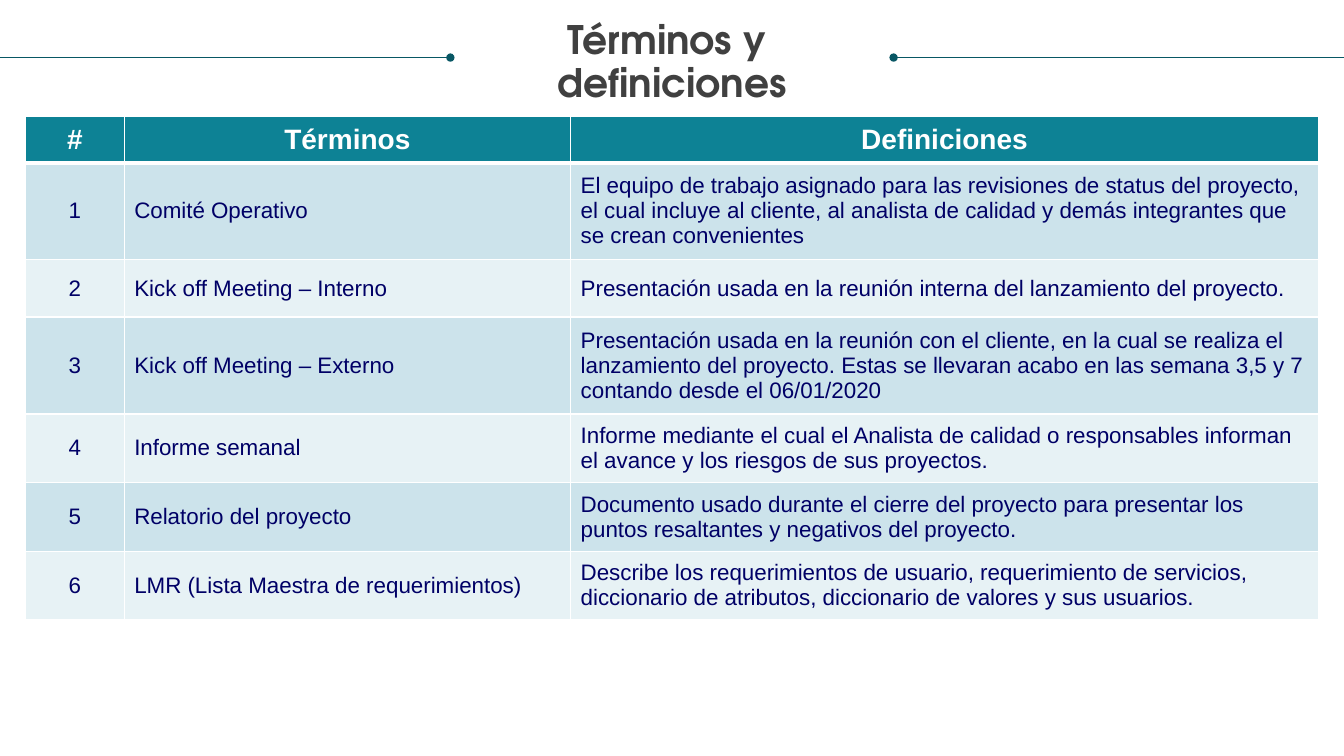
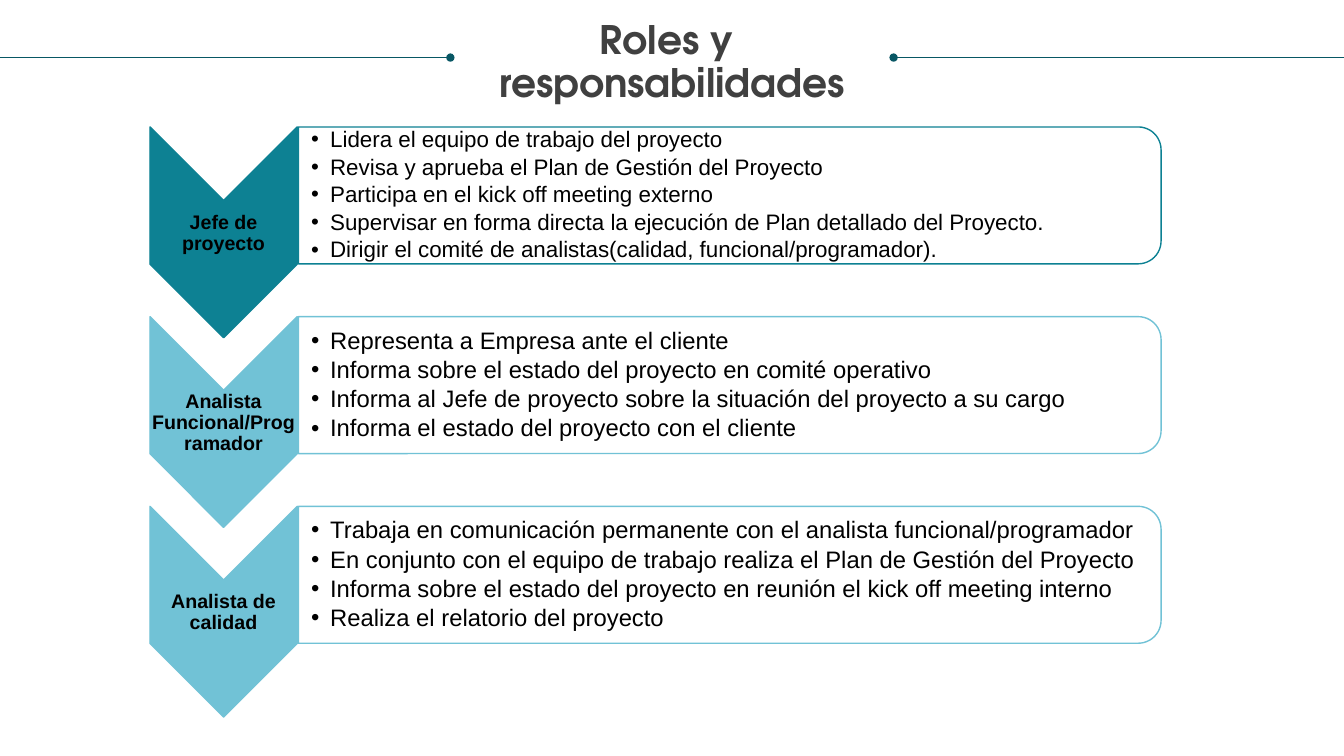
import dataclasses
import typing

import lxml.etree
import pptx
import pptx.dml.color
import pptx.enum.shapes
import pptx.enum.text
import pptx.oxml.ns
import pptx.presentation
import pptx.slide
import pptx.util

Cm = pptx.util.Cm
Pt = pptx.util.Pt
qn = pptx.oxml.ns.qn
Align = pptx.enum.text.PP_ALIGN
Anchor = pptx.enum.text.MSO_ANCHOR
Preset = pptx.enum.shapes.MSO_SHAPE

COLORS = {
    "white": "FFFFFF",
    "black": "000000",
    "title": "404040",
    "rule": "085764",
    "header": "0D8295",
    "band_dark": "CCE3EB",
    "band_light": "E7F2F5",
    "cell_text": "000066",
    "lead": "0D8193",
    "analyst": "71C2D6",
}
TITLE_FONT = "TeX Gyre Adventor"
BODY_FONT = "Arial"
SLIDE_WIDTH, SLIDE_HEIGHT = 33.87, 19.05
MARGIN = 0.64
CONTENT_WIDTH = 32.59
RULE_TOP, RULE_LENGTH = 1.45, 11.35
COMPARISON_LAYOUT, TITLE_ONLY_LAYOUT = 4, 5
ROLE_TOP, ROLE_PITCH = 3.2, 4.78
CHEVRON_LEFT, CHEVRON_WIDTH, CHEVRON_HEIGHT = 3.78, 3.71, 5.31
BOX_WIDTH, BOX_HEIGHT = 21.74, 3.45
COLUMN_WIDTHS = (2.49, 11.25, 18.85)
HEADINGS = ("#", "Términos", "Definiciones")


@dataclasses.dataclass(frozen=True)
class Term:
    name: str
    definition: str
    height: float


@dataclasses.dataclass(frozen=True)
class Role:
    name: str
    duties: tuple[str, ...]
    color: str
    size: int


TERMS = (
    Term("Comité Operativo",
         "El equipo de trabajo asignado para las revisiones de status del proyecto, "
         "el cual incluye al cliente, al analista de calidad y demás integrantes que "
         "se crean convenientes", 2.44),
    Term("Kick off Meeting – Interno",
         "Presentación usada en la reunión interna del lanzamiento del proyecto.", 1.45),
    Term("Kick off Meeting – Externo",
         "Presentación usada en la reunión con el cliente, en la cual se realiza el "
         "lanzamiento del proyecto. Estas se llevaran acabo en las semana 3,5 y 7 "
         "contando desde el 06/01/2020", 2.44),
    Term("Informe semanal",
         "Informe mediante el cual el Analista de calidad o responsables informan "
         "el avance y los riesgos de sus proyectos.", 1.73),
    Term("Relatorio del proyecto",
         "Documento usado durante el cierre del proyecto para presentar los "
         "puntos resaltantes y negativos del proyecto.", 1.73),
    Term("LMR (Lista Maestra de requerimientos)",
         "Describe los requerimientos de usuario, requerimiento de servicios, "
         "diccionario de atributos, diccionario de valores y sus usuarios.", 1.73),
)
ROLES = (
    Role("Jefe de proyecto", (
        "Lidera el equipo de trabajo del proyecto",
        "Revisa y aprueba el Plan de Gestión del Proyecto",
        "Participa en el kick off meeting externo",
        "Supervisar en forma directa la ejecución de Plan detallado del Proyecto.",
        "Dirigir el comité de analistas(calidad, funcional/programador).",
    ), "lead", 16),
    Role("Analista Funcional/Programador", (
        "Representa a Empresa ante el cliente",
        "Informa sobre el estado del proyecto en comité operativo",
        "Informa al Jefe de proyecto sobre la situación del proyecto a su cargo",
        "Informa el estado del proyecto con el cliente",
    ), "analyst", 17),
    Role("Analista de calidad", (
        "Trabaja en comunicación permanente con el analista funcional/programador",
        "En conjunto con el equipo de trabajo realiza el Plan de Gestión del Proyecto",
        "Informa sobre el estado del proyecto en reunión el kick off meeting interno",
        "Realiza el relatorio del proyecto",
    ), "analyst", 17),
)


def rgb(color: str) -> pptx.dml.color.RGBColor:
    return pptx.dml.color.RGBColor.from_string(COLORS[color])


def add_bullet(paragraph: typing.Any) -> None:
    properties = paragraph._p.get_or_add_pPr()
    properties.set("marL", str(Cm(0.48)))
    properties.set("indent", str(-Cm(0.48)))
    lxml.etree.SubElement(properties, qn("a:buFont"), typeface=BODY_FONT)
    lxml.etree.SubElement(properties, qn("a:buChar"), char="•")


def write_text(frame: typing.Any, *lines: str, size: int, color: str = "black",
               font: str = BODY_FONT, bold: bool = False, align: Align = Align.LEFT,
               spacing: float = 1.0, after: float = 0, bullet: bool = False) -> None:
    for index, line in enumerate(lines):
        paragraph = frame.add_paragraph() if index else frame.paragraphs[0]
        paragraph.alignment = align
        paragraph.line_spacing = spacing
        paragraph.space_before = Pt(0)
        paragraph.space_after = Pt(after)
        if bullet:
            add_bullet(paragraph)
        run = paragraph.add_run()
        run.text = line
        run.font.size = Pt(size)
        run.font.name = font
        run.font.bold = bold
        run.font.color.rgb = rgb(color)


def place(shape: typing.Any, left: float, top: float, width: float, height: float) -> None:
    shape.left, shape.top = Cm(left), Cm(top)
    shape.width, shape.height = Cm(width), Cm(height)


def set_frame(frame: typing.Any, anchor: Anchor, inset: float = 0, left: float = 0) -> None:
    frame.word_wrap = True
    frame.auto_size = pptx.enum.text.MSO_AUTO_SIZE.NONE
    frame.vertical_anchor = anchor
    frame.margin_top = frame.margin_right = frame.margin_bottom = Cm(inset)
    frame.margin_left = Cm(left or inset)


def add_rule(slide: pptx.slide.Slide, dot: float, edge: float) -> None:
    rule = slide.shapes.add_connector(
        pptx.enum.shapes.MSO_CONNECTOR.STRAIGHT,
        Cm(dot), Cm(RULE_TOP), Cm(edge), Cm(RULE_TOP))
    rule.line.color.rgb = rgb("rule")
    rule.line.width = Pt(0.5)
    properties = rule.element.find(qn("p:spPr"))
    lxml.etree.SubElement(properties.find(qn("a:ln")), qn("a:headEnd"), type="oval")
    lxml.etree.SubElement(properties, qn("a:effectLst"))


def add_titled_slide(presentation: pptx.presentation.Presentation, layout: int,
                     *title_lines: str) -> pptx.slide.Slide:
    slide = presentation.slides.add_slide(presentation.slide_layouts[layout])
    title = slide.shapes.title
    place(title, MARGIN, 0.53, CONTENT_WIDTH, 2.2)
    set_frame(title.text_frame, Anchor.TOP)
    write_text(title.text_frame, *title_lines, size=28, color="title",
               font=TITLE_FONT, bold=True, align=Align.CENTER, spacing=0.9)
    add_rule(slide, RULE_LENGTH, 0)
    add_rule(slide, SLIDE_WIDTH - RULE_LENGTH, SLIDE_WIDTH)
    return slide


def set_borders(cell: typing.Any, top: float, bottom: float) -> None:
    properties = cell._tc.get_or_add_tcPr()
    for side, width in (("L", 1), ("R", 1), ("T", top), ("B", bottom)):
        line = lxml.etree.SubElement(properties, qn(f"a:ln{side}"), w=str(Pt(width)))
        fill = lxml.etree.SubElement(line, qn("a:solidFill"))
        lxml.etree.SubElement(fill, qn("a:srgbClr"), val=COLORS["white"])


def add_terms_table(slide: pptx.slide.Slide) -> None:
    heights = (1.17, *(term.height for term in TERMS))
    rows = [HEADINGS]
    rows += [(str(number), term.name, term.definition)
             for number, term in enumerate(TERMS, 1)]
    table = slide.shapes.add_table(
        len(rows), len(HEADINGS), Cm(MARGIN), Cm(2.93),
        Cm(CONTENT_WIDTH), Cm(sum(heights))).table
    table.horz_banding = False
    for column, width in zip(table.columns, COLUMN_WIDTHS):
        column.width = Cm(width)
    for row_index, (values, height) in enumerate(zip(rows, heights)):
        table.rows[row_index].height = Cm(height)
        header = row_index == 0
        fill = "header" if header else "band_dark" if row_index % 2 else "band_light"
        for column_index, value in enumerate(values):
            cell = table.cell(row_index, column_index)
            set_borders(cell, 3 if row_index == 1 else 1, 3 if header else 1)
            cell.fill.solid()
            cell.fill.fore_color.rgb = rgb(fill)
            cell.vertical_anchor = Anchor.MIDDLE
            centered = header or column_index == 0
            write_text(cell.text_frame, value, size=20 if header else 16,
                       color="white" if header else "cell_text", bold=header,
                       align=Align.CENTER if centered else Align.LEFT)


def add_turned_shape(slide: pptx.slide.Slide, preset: Preset, left: float, top: float,
                     width: float, height: float, fill: str, line: str) -> None:
    shift = (width - height) / 2
    shape = slide.shapes.add_shape(
        preset, Cm(left + shift), Cm(top - shift), Cm(height), Cm(width))
    shape.rotation = 90
    shape.shadow.inherit = False
    shape.fill.solid()
    shape.fill.fore_color.rgb = rgb(fill)
    shape.line.color.rgb = rgb(line)
    shape.line.width = Pt(1)


def add_role(slide: pptx.slide.Slide, role: Role, top: float, duties: typing.Any) -> None:
    add_turned_shape(slide, Preset.CHEVRON, CHEVRON_LEFT, top,
                     CHEVRON_WIDTH, CHEVRON_HEIGHT, role.color, role.color)
    label = slide.shapes.add_textbox(
        Cm(CHEVRON_LEFT), Cm(top + 1.88), Cm(CHEVRON_WIDTH), Cm(1.6))
    set_frame(label.text_frame, Anchor.MIDDLE, inset=0.03)
    write_text(label.text_frame, role.name, size=14, bold=True,
               align=Align.CENTER, spacing=0.9)
    box_left = CHEVRON_LEFT + CHEVRON_WIDTH + 0.03
    add_turned_shape(slide, Preset.ROUND_2_SAME_RECTANGLE, box_left, top,
                     BOX_WIDTH, BOX_HEIGHT, "white", role.color)
    place(duties, box_left, top + 0.17, 21.59, 3.12)
    set_frame(duties.text_frame, Anchor.MIDDLE, inset=0.03, left=0.32)
    write_text(duties.text_frame, *role.duties, size=role.size,
               spacing=0.9, after=role.size * 0.15, bullet=True)
    slide.shapes.element.append(duties.element)


def add_roles(slide: pptx.slide.Slide) -> None:
    title_id = slide.shapes.title.shape_id
    bodies = [shape for shape in slide.placeholders if shape.shape_id != title_id]
    for index, (role, duties) in enumerate(zip(ROLES, bodies)):
        add_role(slide, role, ROLE_TOP + index * ROLE_PITCH, duties)
    for unused in bodies[len(ROLES):]:
        slide.shapes.element.remove(unused.element)


def main() -> None:
    presentation = pptx.Presentation()
    presentation.slide_width = Cm(SLIDE_WIDTH)
    presentation.slide_height = Cm(SLIDE_HEIGHT)
    add_terms_table(add_titled_slide(
        presentation, TITLE_ONLY_LAYOUT, "Términos y ", "definiciones"))
    add_roles(add_titled_slide(
        presentation, COMPARISON_LAYOUT, "Roles y ", "responsabilidades"))
    presentation.save("out.pptx")


if __name__ == "__main__":
    main()
